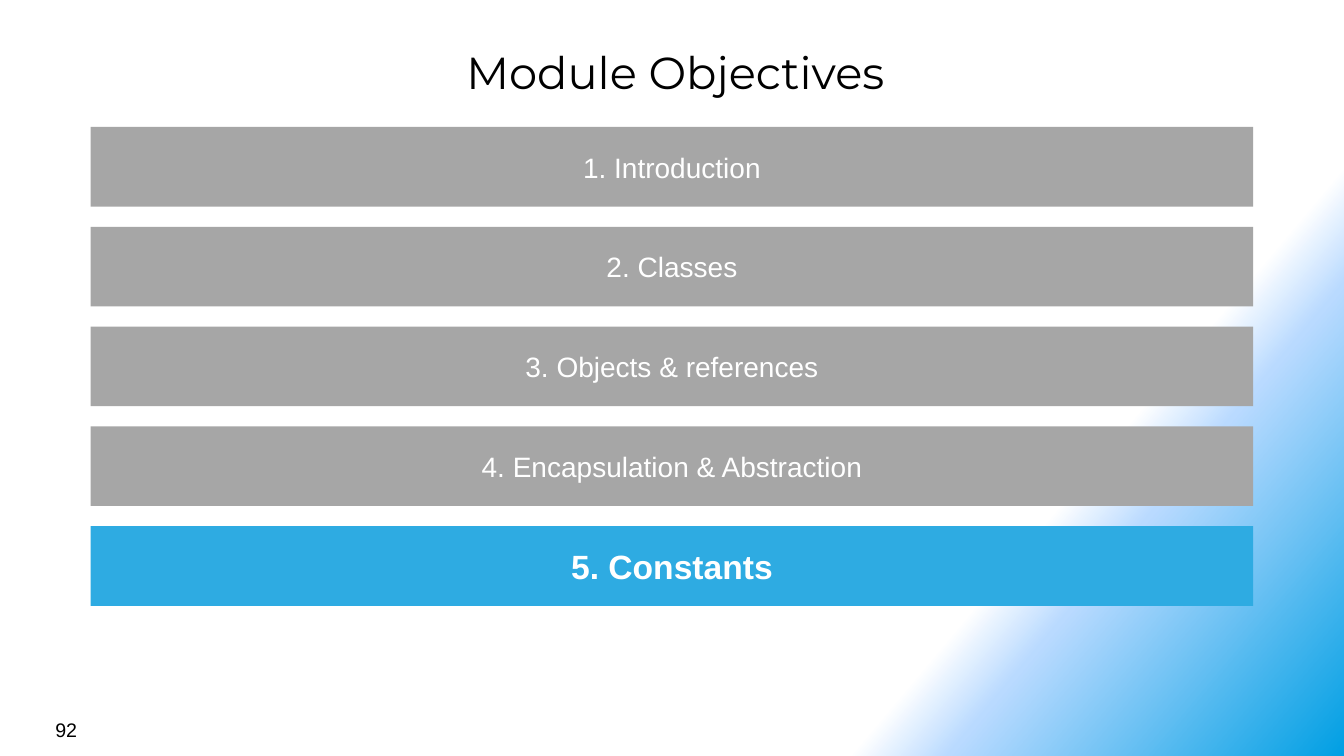
from lxml.etree import SubElement
from pptx import Presentation
from pptx.dml.color import RGBColor
from pptx.enum.shapes import MSO_SHAPE
from pptx.enum.text import MSO_ANCHOR, MSO_AUTO_SIZE, PP_ALIGN
from pptx.oxml.ns import qn
from pptx.util import Inches, Pt

GREY, BLUE, WHITE, BLACK = "A6A6A6", "2EABE2", "FFFFFF", "000000"
OBJECTIVES = [
    "1. Introduction",
    "2. Classes",
    "3. Objects & references",
    "4. Encapsulation & Abstraction",
    "5. Constants",
]
CURRENT = 4
BAR_TOP, BAR_PITCH = 1.26, 0.99
# Position in percent, colour, opacity in percent
BACKGROUND_STOPS = [(75, "FFFFFF", 100), (80, "B9DAFF", 50), (100, "009FE3", 100)]


def rgb(hex_colour):
    return RGBColor.from_string(hex_colour)


def write(frame, text, size, colour, font="Arial", bold=False, align=PP_ALIGN.CENTER):
    frame.word_wrap = True
    frame.text = text
    paragraph = frame.paragraphs[0]
    paragraph.alignment = align
    run_font = paragraph.runs[0].font
    run_font.name, run_font.size, run_font.bold = font, Pt(size), bold
    run_font.color.rgb = rgb(colour)


def place(shape, left, top, width, height):
    shape.left, shape.top = Inches(left), Inches(top)
    shape.width, shape.height = Inches(width), Inches(height)


def paint_background(slide):
    fill = slide.background.fill
    fill.gradient()
    fill.gradient_angle = 320  # counter-clockwise
    stops = slide.element.find(".//" + qn("a:gsLst"))
    for stop in list(stops):
        stops.remove(stop)
    for position, colour, opacity in BACKGROUND_STOPS:
        stop = SubElement(stops, qn("a:gs"), pos=str(position * 1000))
        shade = SubElement(stop, qn("a:srgbClr"), val=colour)
        if opacity < 100:
            SubElement(shade, qn("a:alpha"), val=str(opacity * 1000))


def add_title(slide, text):
    title = slide.shapes.title
    place(title, 0.67, 0.39, 12.06, 0.64)
    write(title.text_frame, text, 32, BLACK, font="Montserrat")
    title.text_frame.vertical_anchor = MSO_ANCHOR.MIDDLE
    title.text_frame.auto_size = MSO_AUTO_SIZE.SHAPE_TO_FIT_TEXT


def add_objective(slide, index, text):
    current = index == CURRENT
    bar = slide.shapes.add_shape(
        MSO_SHAPE.RECTANGLE,
        Inches(0.9), Inches(BAR_TOP + index * BAR_PITCH), Inches(11.53), Inches(0.79),
    )
    bar.shadow.inherit = False
    bar.fill.solid()
    bar.fill.fore_color.rgb = rgb(BLUE if current else GREY)
    bar.line.fill.background()
    write(bar.text_frame, text, 24 if current else 20, WHITE, bold=current)
    bar.text_frame.vertical_anchor = MSO_ANCHOR.MIDDLE


def add_page_number(slide, number):
    page = slide.shapes.add_textbox(Inches(0.45), Inches(7.07), Inches(3.11), Inches(0.33))
    write(page.text_frame, number, 14, BLACK, align=PP_ALIGN.LEFT)


def main():
    prs = Presentation()
    prs.slide_width, prs.slide_height = Inches(13.33), Inches(7.5)
    slide = prs.slides.add_slide(prs.slide_layouts[5])  # Title Only

    paint_background(slide)
    add_title(slide, "Module Objectives")

    # Objectives, with the current one highlighted
    for index, text in enumerate(OBJECTIVES):
        add_objective(slide, index, text)

    add_page_number(slide, "92")
    prs.save("out.pptx")


if __name__ == "__main__":
    main()
